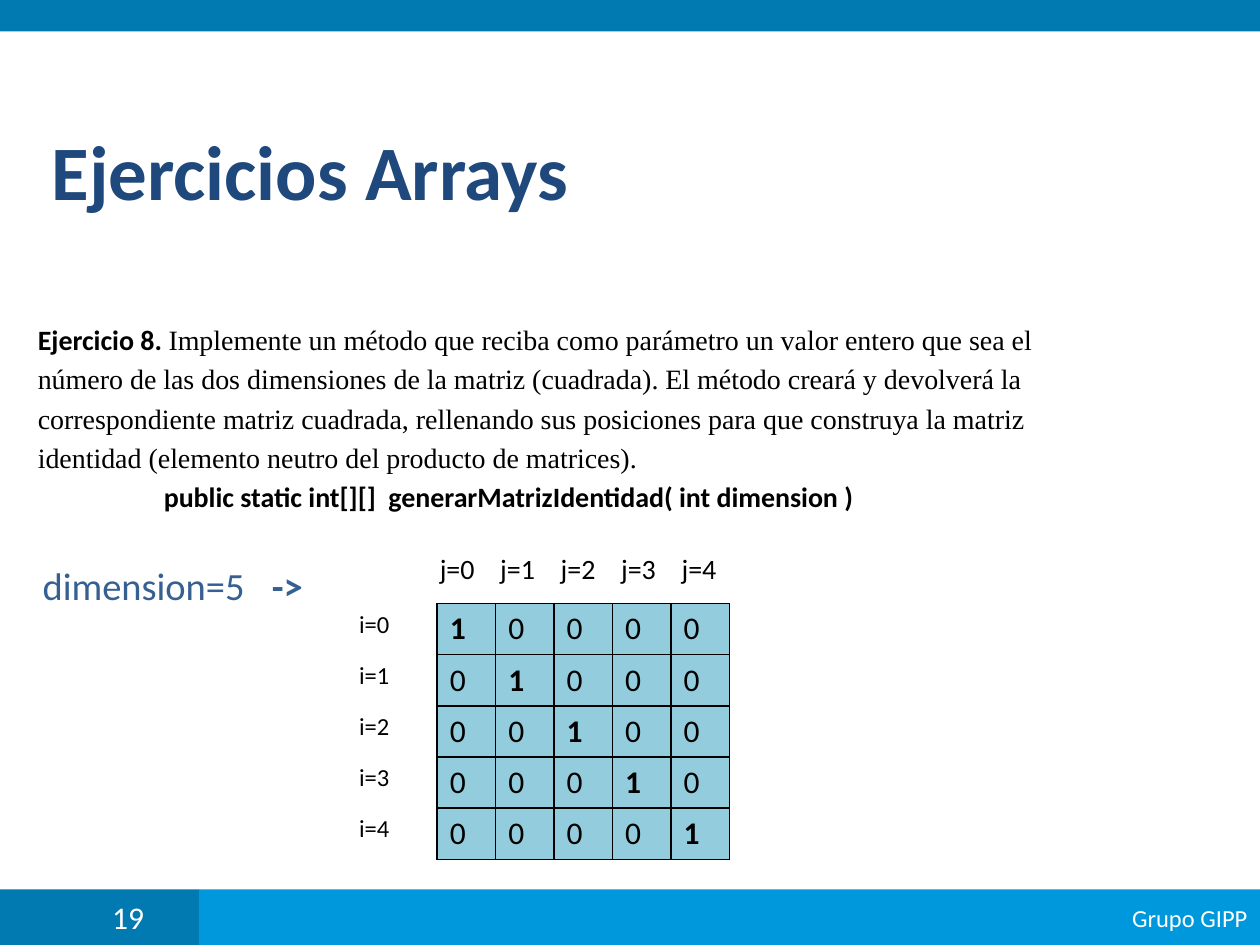
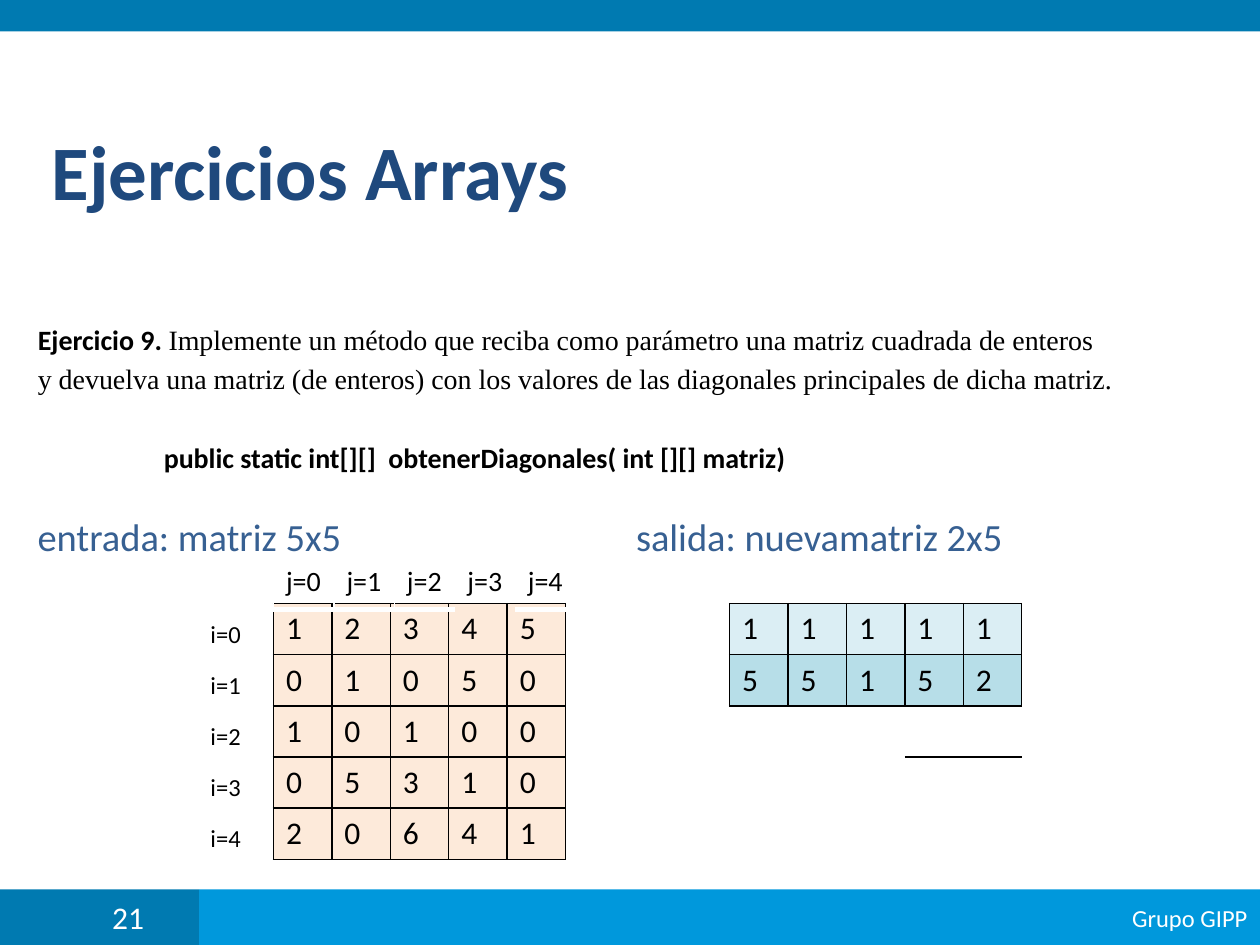
from pptx import Presentation
from pptx.dml.color import RGBColor
from pptx.enum import shapes, text as text_enum
from pptx.oxml.ns import qn
from pptx.util import Inches, Pt
from lxml import etree

DARK_BLUE = RGBColor(0x00, 0x7A, 0xB1)
BRIGHT_BLUE = RGBColor(0x00, 0x98, 0xDC)
TITLE_BLUE = RGBColor(0x1F, 0x49, 0x7D)
EXAMPLE_BLUE = RGBColor(0x37, 0x60, 0x92)
IDENTITY_FILL = RGBColor(0x93, 0xCD, 0xDD)
INPUT_FILL = RGBColor(0xFD, 0xEA, 0xDA)
FIRST_DIAGONAL_FILL = RGBColor(0xDB, 0xEE, 0xF4)
SECOND_DIAGONAL_FILL = RGBColor(0xB7, 0xDE, 0xE8)
BLACK = RGBColor(0, 0, 0)
WHITE = RGBColor(255, 255, 255)

SIZE = 5
CELL_WIDTH = 2.32 / SIZE
CELL_HEIGHT = 2.03 / SIZE
LABEL_WIDTH = 0.48
LINE_GAP = 3.3
SIDES = {"left": "a:lnL", "right": "a:lnR", "top": "a:lnT", "bottom": "a:lnB"}
BLACK_GRID = dict.fromkeys(SIDES, (BLACK, 1))
WHITE_GRID = dict.fromkeys(SIDES, (WHITE, 1))
WHITE_HEADER = {**WHITE_GRID, "bottom": (WHITE, 3)}


def add_text(paragraph, text, size=16, font="Calibri", color=BLACK, bold=False):
    run = paragraph.add_run()
    run.text = text
    run.font.size = Pt(size)
    run.font.name = font
    run.font.color.rgb = color
    run.font.bold = bold


def place(shape, left, top, width, height):
    shape.left, shape.top = Inches(left), Inches(top)
    shape.width, shape.height = Inches(width), Inches(height)


def add_band(slide, left, top, width, height, color):
    band = slide.shapes.add_shape(shapes.MSO_SHAPE.RECTANGLE, Inches(left), Inches(top),
                                  Inches(width), Inches(height))
    band.shadow.inherit = False
    band.fill.solid()
    band.fill.fore_color.rgb = color
    band.line.fill.background()
    band.text_frame.vertical_anchor = text_enum.MSO_ANCHOR.MIDDLE
    return band.text_frame


def add_frame(slide, number):
    """Draw the top band and the footer with page number and group name."""
    add_band(slide, 0, 0, 10, 0.25, DARK_BLUE)
    page = add_band(slide, 0, 7.06, 1.58, 0.44, DARK_BLUE)
    page.margin_left = Inches(0.89)
    page.paragraphs[0].alignment = text_enum.PP_ALIGN.LEFT
    add_text(page.paragraphs[0], str(number), size=18, color=WHITE)
    group = add_band(slide, 1.58, 7.06, 8.42, 0.44, BRIGHT_BLUE)
    group.paragraphs[0].alignment = text_enum.PP_ALIGN.RIGHT
    add_text(group.paragraphs[0], "Grupo GIPP", size=14, color=WHITE)


def add_title(slide):
    title = slide.shapes.title
    place(title, 0.31, 0.68, 9.69, 1.34)
    title.text_frame.vertical_anchor = text_enum.MSO_ANCHOR.MIDDLE
    paragraph = title.text_frame.paragraphs[0]
    paragraph.alignment = text_enum.PP_ALIGN.LEFT
    add_text(paragraph, "Ejercicios Arrays", size=44, color=TITLE_BLUE, bold=True)


def add_statement(slide, height, heading, lines, signature, signature_gap):
    """Fill the body with the exercise and its indented signature."""
    align = text_enum.PP_ALIGN
    body = slide.placeholders[1]
    place(body, 0.2, 2.51, 9.45, height)
    frame = body.text_frame
    frame.auto_size = text_enum.MSO_AUTO_SIZE.NONE
    frame.vertical_anchor = text_enum.MSO_ANCHOR.TOP
    paragraph = frame.paragraphs[0]
    add_text(paragraph, heading + " ", bold=True)
    for index, line in enumerate(lines):
        if index:
            paragraph = frame.add_paragraph()
        paragraph.space_before = Pt(LINE_GAP if index else 0)
        paragraph.alignment = align.JUSTIFY
        add_text(paragraph, line, font="Times New Roman")
    paragraph = frame.add_paragraph()
    paragraph._p.get_or_add_pPr().set("marL", str(Inches(1)))
    paragraph.space_before = Pt(signature_gap)
    paragraph.alignment = align.LEFT
    add_text(paragraph, signature, bold=True)


def add_example_label(slide, left, top, width, label, bold=False):
    box = slide.shapes.add_textbox(Inches(left), Inches(top), Inches(width), Inches(0.47))
    box.text_frame.word_wrap = True
    add_text(box.text_frame.paragraphs[0], label, size=22, color=EXAMPLE_BLUE, bold=bold)


def set_borders(cell, borders):
    """Draw the given sides as (color, points) and hide the others."""
    properties = cell._tc.get_or_add_tcPr()
    for side, tag in SIDES.items():
        color, points = borders.get(side, (None, 0))
        line = etree.SubElement(properties, qn(tag), w=str(Pt(points)))
        if color is None:
            etree.SubElement(line, qn("a:noFill"))
        else:
            fill = etree.SubElement(line, qn("a:solidFill"))
            etree.SubElement(fill, qn("a:srgbClr"), val=str(color))


def add_grid(slide, left, top, values, cell_width, style):
    """Add a table; style(row, column) gives borders, fill and text format."""
    rows, columns = len(values), len(values[0])
    table = slide.shapes.add_table(rows, columns, Inches(left), Inches(top),
                                   Inches(cell_width * columns),
                                   Inches(CELL_HEIGHT * rows)).table
    table.first_row = table.horz_banding = False
    for row, row_values in enumerate(values):
        for column, value in enumerate(row_values):
            cell = table.cell(row, column)
            borders, fill, text_format = style(row, column)
            set_borders(cell, borders)
            if fill is None:
                cell.fill.background()
            else:
                cell.fill.solid()
                cell.fill.fore_color.rgb = fill
            if value != "":
                add_text(cell.text_frame.paragraphs[0], str(value), **text_format)


def add_row_labels(slide, left, top):
    def style(row, column):
        return WHITE_GRID if row else WHITE_HEADER, None, {"size": 14}
    add_grid(slide, left, top, [[f"i={row}"] for row in range(SIZE)], LABEL_WIDTH, style)


def add_column_labels(slide, left, top):
    hidden_sides = {2: ["right"], 3: list(SIDES), 4: ["left"]}

    def style(row, column):
        hidden = hidden_sides.get(column, [])
        borders = {side: line for side, line in WHITE_HEADER.items() if side not in hidden}
        return borders, None, {"size": 16}
    add_grid(slide, left, top, [[f"j={column}" for column in range(SIZE)]], LABEL_WIDTH, style)


def add_identity_matrix(slide, left, top):
    def style(row, column):
        return BLACK_GRID, IDENTITY_FILL, {"size": 18, "bold": row == column}
    values = [[int(row == column) for column in range(SIZE)] for row in range(SIZE)]
    add_grid(slide, left, top, values, CELL_WIDTH, style)


def add_input_matrix(slide, left, top):
    def style(row, column):
        return BLACK_GRID, INPUT_FILL, {"size": 18}
    values = [[1, 2, 3, 4, 5], [0, 1, 0, 5, 0], [1, 0, 1, 0, 0], [0, 5, 3, 1, 0], [2, 0, 6, 4, 1]]
    add_grid(slide, left, top, values, CELL_WIDTH, style)


def add_diagonals(slide, left, top):
    """Two filled rows over three open ones, with a short line under the third."""
    fills = [FIRST_DIAGONAL_FILL, SECOND_DIAGONAL_FILL]

    def style(row, column):
        if row < len(fills):
            return BLACK_GRID, fills[row], {"size": 18}
        borders = {}
        if row == 2:
            borders["top"] = (BLACK, 1)
        if column >= 3 and row in (2, 3):
            borders["bottom" if row == 2 else "top"] = (BLACK, 1)
        return borders, None, {}
    values = [[1] * SIZE, [5, 5, 1, 5, 2]] + [[""] * SIZE] * 3
    add_grid(slide, left, top, values, CELL_WIDTH, style)


def start_slide(presentation, number):
    slide = presentation.slides.add_slide(presentation.slide_layouts[0])
    add_frame(slide, number)
    add_title(slide)
    return slide


def build_identity_slide(presentation):
    slide = start_slide(presentation, 19)
    add_statement(slide, 1.7, "Ejercicio 8.", [
        "Implemente un método que reciba como parámetro un valor entero que sea el",
        "número de las dos dimensiones de la matriz (cuadrada). El método creará y devolverá la",
        "correspondiente matriz cuadrada, rellenando sus posiciones para que construya la matriz",
        "identidad (elemento neutro del producto de matrices).",
    ], "public static int[][]  generarMatrizIdentidad( int dimension )", LINE_GAP)
    add_example_label(slide, 0.24, 4.41, 1.82, "dimension=5")
    add_example_label(slide, 2.06, 4.41, 0.6, "->", bold=True)
    add_identity_matrix(slide, 3.47, 4.79)
    add_row_labels(slide, 2.75, 4.79)
    add_column_labels(slide, 3.39, 4.34)


def build_diagonals_slide(presentation):
    slide = start_slide(presentation, 21)
    add_statement(slide, 1.45, "Ejercicio 9.", [
        "Implemente un método que reciba como parámetro una matriz cuadrada de enteros",
        "y devuelva una matriz (de enteros) con los valores de las diagonales principales "
        "de dicha matriz.",
    ], "public static int[][]  obtenerDiagonales( int [][] matriz)", 25.5)
    add_example_label(slide, 0.2, 4.02, 3.5, "entrada: matriz 5x5")
    add_example_label(slide, 4.95, 4.02, 4, "salida: nuevamatriz 2x5")
    add_input_matrix(slide, 2.17, 4.79)
    add_diagonals(slide, 5.79, 4.79)
    add_column_labels(slide, 2.17, 4.43)
    add_row_labels(slide, 1.57, 4.87)


def main():
    presentation = Presentation()
    presentation.slide_width, presentation.slide_height = Inches(10), Inches(7.5)
    build_identity_slide(presentation)
    build_diagonals_slide(presentation)
    presentation.save("out.pptx")


if __name__ == "__main__":
    main()
